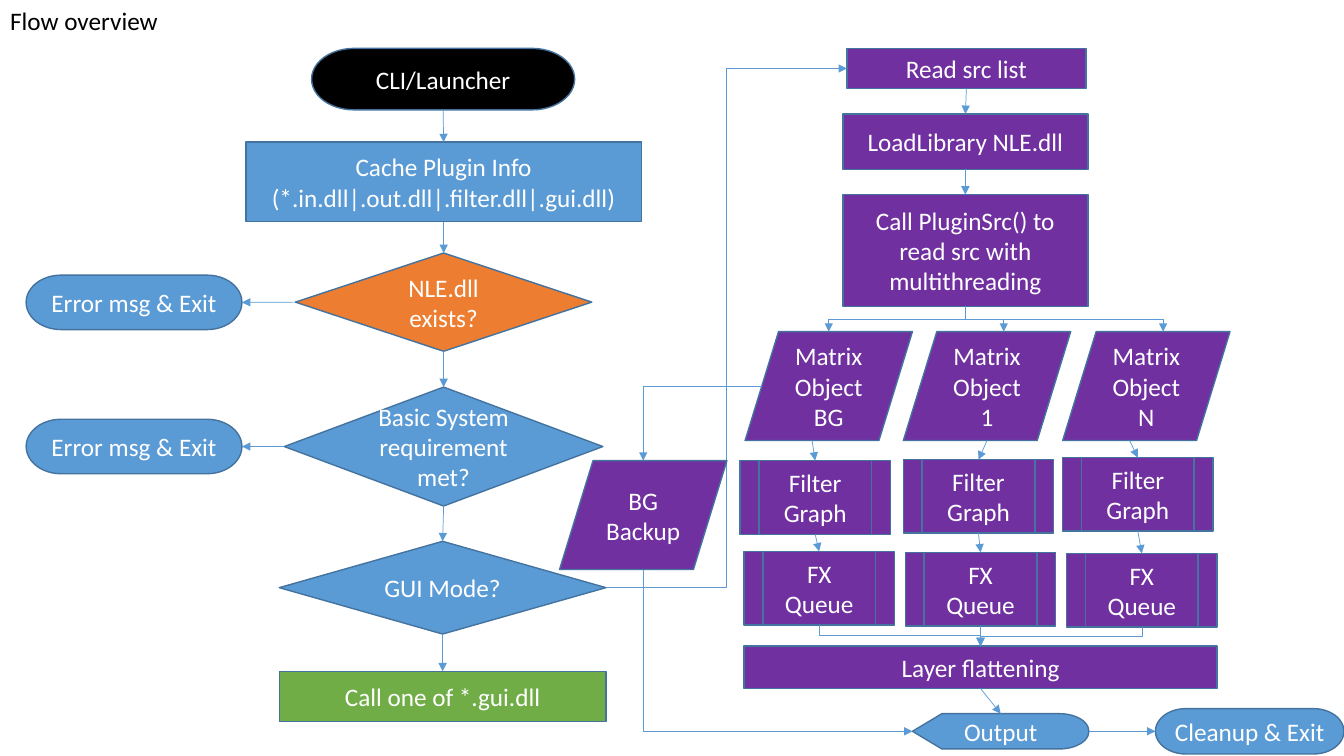
from lxml import etree
from pptx import Presentation
from pptx.dml.color import RGBColor
from pptx.enum.shapes import MSO_CONNECTOR, MSO_SHAPE
from pptx.enum.text import MSO_ANCHOR, MSO_AUTO_SIZE, PP_ALIGN
from pptx.oxml.ns import qn
from pptx.util import Inches, Pt

BLACK = RGBColor(0x00, 0x00, 0x00)
WHITE = RGBColor(0xFF, 0xFF, 0xFF)
BLUE = RGBColor(0x5B, 0x9B, 0xD5)
OUTLINE = RGBColor(0x43, 0x73, 0x9E)
ORANGE = RGBColor(0xED, 0x7D, 0x31)
GREEN = RGBColor(0x70, 0xAD, 0x47)
PURPLE = RGBColor(0x70, 0x30, 0xA0)

TERMINATOR = MSO_SHAPE.FLOWCHART_TERMINATOR
PROCESS = MSO_SHAPE.FLOWCHART_PROCESS
DECISION = MSO_SHAPE.FLOWCHART_DECISION
DATA = MSO_SHAPE.FLOWCHART_DATA
PREDEFINED = MSO_SHAPE.FLOWCHART_PREDEFINED_PROCESS
DISPLAY = MSO_SHAPE.FLOWCHART_DISPLAY
STRAIGHT, ELBOW = MSO_CONNECTOR.STRAIGHT, MSO_CONNECTOR.ELBOW
ALIGN_LEFT, ALIGN_CENTER = PP_ALIGN.LEFT, PP_ALIGN.CENTER
ANCHOR_TOP, FIT_SHAPE = MSO_ANCHOR.TOP, MSO_AUTO_SIZE.SHAPE_TO_FIT_TEXT

TOP, LEFT, BOTTOM, RIGHT = range(4)
SIDE_SHARES = {TOP: (0.5, 0), LEFT: (0, 0.5), BOTTOM: (0.5, 1), RIGHT: (1, 0.5)}
MIDDLE_TOP, MIDDLE_BOTTOM = (0.5, 0), (0.5, 1)
QUARTER_TURN = 5400000


class FlowSlide:
    """Flow chart on a grid whose columns and rows are a tenth of an inch."""

    CELL = Inches(0.1)
    FONT = {"name": "Calibri", "size": Pt(18)}

    def __init__(self, presentation):
        self.slide = presentation.slides.add_slide(presentation.slide_layouts[5])
        self.shapes = self.slide.shapes

    def cells(self, *counts):
        return [round(count * self.CELL) for count in counts]

    def label(self, shape, text, color, alignment):
        shape.text_frame.text = text
        for paragraph in shape.text_frame.paragraphs:
            paragraph.alignment = alignment
            for name, value in self.FONT.items():
                setattr(paragraph.font, name, value)
            paragraph.font.color.rgb = color

    def title(self, text, *box):
        title = self.shapes.title
        for name, value in zip(("left", "top", "width", "height"), self.cells(*box)):
            setattr(title, name, value)
        self.label(title, text, BLACK, ALIGN_LEFT)
        frame_format = {"word_wrap": False, "vertical_anchor": ANCHOR_TOP,
                        "auto_size": FIT_SHAPE}
        for name, value in frame_format.items():
            setattr(title.text_frame, name, value)

    def node(self, kind, text, fill, *box):
        shape = self.shapes.add_shape(kind, *self.cells(*box))
        shape.shadow.inherit = False
        shape.fill.solid()
        shape.fill.fore_color.rgb = fill
        shape.line.color.rgb = OUTLINE
        shape.line.width = Pt(1)
        self.label(shape, text, WHITE, ALIGN_CENTER)
        return shape

    def point(self, shape, place):
        """A place is a side, or shares of the shape's width and height."""
        across, down = SIDE_SHARES[place] if isinstance(place, int) else place
        return (round(shape.left + across * shape.width),
                round(shape.top + down * shape.height))

    def connector(self, kind, *ends):
        connector = self.shapes.add_connector(kind, *ends)
        connector.line.color.rgb = BLUE
        connector.line.width = Pt(0.5)
        properties = connector.element.spPr
        etree.SubElement(properties.find(qn("a:ln")), qn("a:tailEnd"), type="triangle")
        etree.SubElement(properties, qn("a:effectLst"))
        return connector

    def arrow(self, start, start_place, end, end_place):
        connector = self.connector(STRAIGHT, *self.point(start, start_place),
                                   *self.point(end, end_place))
        if isinstance(start_place, int):
            connector.begin_connect(start, start_place)
        if isinstance(end_place, int):
            connector.end_connect(end, end_place)

    def elbow(self, start, start_place, end, end_place, upright=True, single=False):
        """An upright elbow leaves vertically; a single one has one corner."""
        x1, y1 = self.point(start, start_place)
        x2, y2 = self.point(end, end_place)
        turns = 0
        if upright:
            turns = 3 if x2 > x1 else 1
            middle_x, middle_y = (x1 + x2) // 2, (y1 + y2) // 2
            half_width, half_height = (y2 - y1) // 2, abs(x2 - x1) // 2
            if turns == 3:
                half_width = -half_width
            x1, x2 = middle_x - half_width, middle_x + half_width
            y1, y2 = middle_y - half_height, middle_y + half_height
        properties = self.connector(ELBOW, x1, y1, x2, y2).element.spPr
        if turns:
            properties.find(qn("a:xfrm")).set("rot", str(turns * QUARTER_TURN))
        if single:
            properties.find(qn("a:prstGeom")).set("prst", "bentConnector2")


def main():
    presentation = Presentation()
    presentation.slide_width, presentation.slide_height = Inches(13.33), Inches(7.5)
    flow = FlowSlide(presentation)
    flow.title("Flow overview", 0, 0, 16.8, 4)

    # Launch column
    launcher = flow.node(TERMINATOR, "CLI/Launcher", BLACK, 30.9, 4.8, 26.1, 6.1)
    cache = flow.node(PROCESS, "Cache Plugin Info\n(*.in.dll|.out.dll|.filter.dll|.gui.dll)",
                      BLUE, 24.4, 14.1, 39.2, 7.9)
    library_check = flow.node(DECISION, "NLE.dll exists?", ORANGE, 29.3, 25.1, 29.4, 9.75)
    system_check = flow.node(DECISION, "Basic System requirement met?", BLUE,
                             28.2, 38.4, 31.6, 11.8)
    gui_check = flow.node(DECISION, "GUI Mode?", BLUE, 27.7, 53.7, 32.4, 9.2)
    gui_call = flow.node(PROCESS, "Call one of *.gui.dll", GREEN, 27.7, 66.6, 32.4, 5)
    launch_steps = [launcher, cache, library_check, system_check, gui_check, gui_call]

    # Error exits
    for check, top in ((library_check, 27.3), (system_check, 41.6)):
        error = flow.node(TERMINATOR, "Error msg & Exit", BLUE, 2.6, top, 21.4, 5.4)
        flow.arrow(check, LEFT, error, RIGHT)

    # Source reading column
    source_list = flow.node(PROCESS, "Read src list", PURPLE, 84, 4.8, 23.7, 4)
    load = flow.node(PROCESS, "LoadLibrary NLE.dll", PURPLE, 83.6, 11.3, 24.3, 5.5)
    call = flow.node(PROCESS, "Call PluginSrc() to read src with multithreading", PURPLE,
                     83.6, 19.3, 24.3, 11.1)
    for steps in (launch_steps, [source_list, load, call]):
        for step, following in zip(steps, steps[1:]):
            flow.arrow(step, BOTTOM, following, TOP)
    flow.elbow(gui_check, RIGHT, source_list, LEFT, upright=False)

    # Output row
    flatten = flow.node(PROCESS, "Layer flattening", PURPLE, 73.8, 64.1, 46.9, 4.2)
    output = flow.node(DISPLAY, "Output", BLUE, 90.5, 70.8, 17.5, 3.5)
    cleanup = flow.node(TERMINATOR, "Cleanup & Exit", BLUE, 114.6, 70.3, 18.7, 4.5)
    flow.arrow(flatten, BOTTOM, output, TOP)
    flow.arrow(output, RIGHT, cleanup, LEFT)

    # One lane per layer: matrix left, entry share, filter left and top
    lanes = {"BG": (73.9, 0.5, 73.4, 45.7),
             "1": (89.6, 0.6, 89.6, 45.6),
             "N": (105.4, 0.6, 105.4, 45.4)}
    matrices = {}
    for index, (layer, lane) in enumerate(lanes.items()):
        matrix_left, entry, filter_left, filter_top = lane
        matrix = flow.node(DATA, f"Matrix Object {layer}", PURPLE, matrix_left, 32.9, 16.6, 10.8)
        filters = flow.node(PREDEFINED, "Filter Graph", PURPLE, filter_left, filter_top, 14.9, 7.3)
        effects = flow.node(PREDEFINED, "FX Queue", PURPLE,
                            73.8 + 16 * index, 54.7 + 0.1 * index, 14.9, 7.3)
        flow.elbow(call, BOTTOM, matrix, (entry, 0))
        exit_share = 0.5 if layer == "1" else 0.4
        flow.arrow(matrix, (exit_share, 1), filters, TOP)
        flow.arrow(filters, BOTTOM, effects, TOP)
        flow.elbow(effects, BOTTOM, flatten, TOP)
        matrices[layer] = matrix

    # Background backup
    backup = flow.node(DATA, "BG Backup", PURPLE, 55.5, 45.7, 16.6, 10.8)
    flow.elbow(matrices["BG"], (0.1, 0.5), backup, MIDDLE_TOP, upright=False, single=True)
    flow.elbow(backup, MIDDLE_BOTTOM, output, LEFT, single=True)

    presentation.save("out.pptx")


if __name__ == "__main__":
    main()
